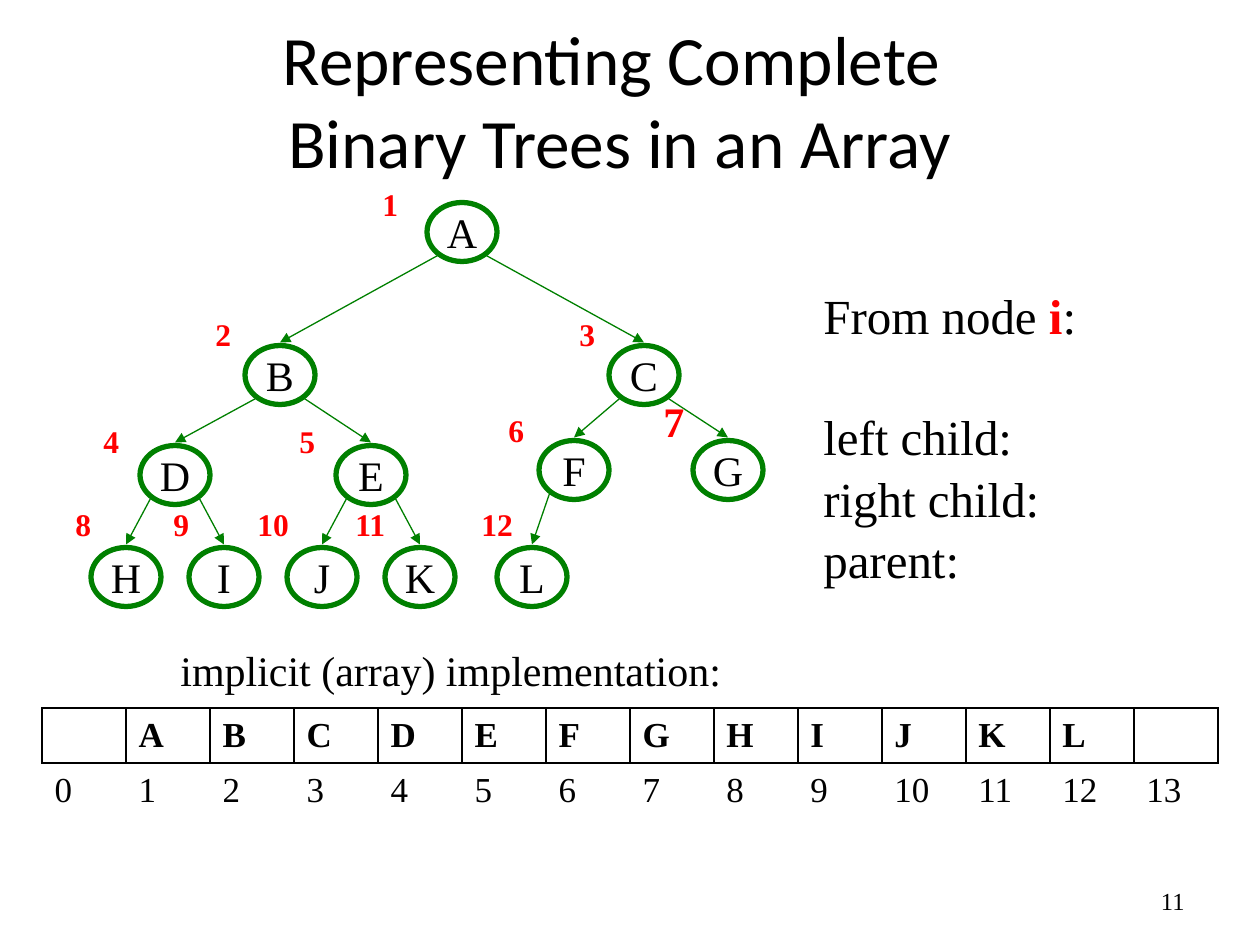
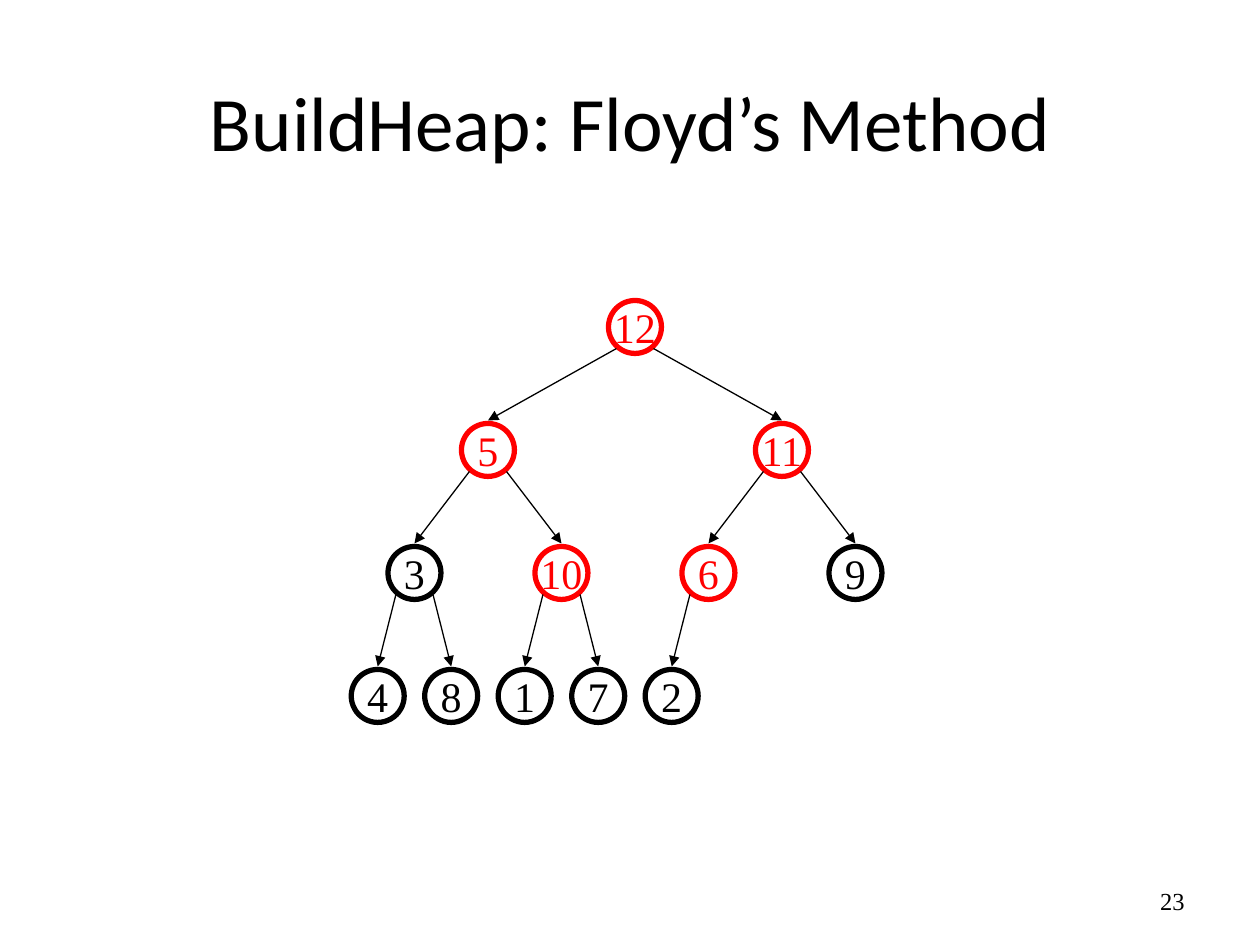
"""Build two slides on binary trees stored in arrays."""
from lxml import etree
from pptx import Presentation
from pptx import util as u
from pptx.dml.color import RGBColor
from pptx.enum import shapes, text
from pptx.oxml import ns

PX = 914400 / 126
BLACK, RED, GREEN = "000000", "FF0000", "008000"
SERIF, SANS = "Times New Roman", "Calibri"
LEFT, MID, RIGHT = text.PP_ALIGN.LEFT, text.PP_ALIGN.CENTER, text.PP_ALIGN.RIGHT

# name, centre x, centre y, number left, number top
NODES = [
    ("A", 462, 232, 370, 179),
    ("B", 280, 375, 203, 309),
    ("C", 644, 375, 567, 309),
    ("D", 175, 475, 91, 416),
    ("E", 371, 475, 287, 416),
    ("F", 574, 470, 496, 405),
    ("G", 728, 470, 651, 389),
    ("H", 126, 577, 63, 499),
    ("I", 224, 577, 161, 499),
    ("J", 322, 577, 245, 499),
    ("K", 420, 577, 343, 499),
    ("L", 532, 577, 469, 499),
]
BIG = "G"
LINKS = [
    ["From node ", ("i", {"color": RED, "bold": True}), ":"],
    ["left child:"],
    ["right child:"],
    ["parent:"],
]
CAPTION = "implicit (array) implementation:"
HEAP = [12, 5, 11, 3, 10, 6, 9, 4, 8, 1, 7, 2]
MARKED = {12, 5, 11, 10, 6}


def px(n):
    return u.Emu(round(n * PX))


def rgb(code):
    return RGBColor.from_string(code)


def write(frame, paras, size=24, color=BLACK, bold=False, font=SERIF, align=LEFT,
          anchor=text.MSO_ANCHOR.TOP, wrap=True, lead=None):
    """Fill a text frame; paras is a string or a list of lists of runs."""
    if isinstance(paras, str):
        paras = [[paras]]
    frame.word_wrap = wrap
    frame.vertical_anchor = anchor
    for i, runs in enumerate(paras):
        para = frame.add_paragraph() if i else frame.paragraphs[0]
        para.alignment = align
        if lead:
            para.line_spacing = lead
        for item in runs:
            if item == "\n":
                para.add_line_break()
                continue
            words, own = (item, {}) if isinstance(item, str) else item
            run = para.add_run()
            run.text = words
            run.font.name = font
            run.font.size = u.Pt(size)
            run.font.bold = own.get("bold", bold)
            run.font.color.rgb = rgb(own.get("color", color))
    return frame


def label(slide, box, paras, **form):
    return write(slide.shapes.add_textbox(*map(px, box)).text_frame, paras, **form)


def start(deck, box, title, size, number):
    """Add a slide with its title and page number."""
    slide = deck.slides.add_slide(deck.slide_layouts[6])
    middle = text.MSO_ANCHOR.MIDDLE
    label(slide, box, title, size=size, font=SANS, align=MID, anchor=middle)
    label(slide, (903, 876, 294, 50), number, size=14, align=RIGHT, anchor=middle)
    return slide


def node(slide, x, y, w, h, name, line, color):
    oval = slide.shapes.add_shape(
        shapes.MSO_SHAPE.OVAL, px(x - w / 2), px(y - h / 2), px(w), px(h))
    oval.shadow.inherit = False
    oval.fill.background()
    oval.line.color.rgb = rgb(line)
    oval.line.width = u.Pt(3)
    write(oval.text_frame, name, color=color, align=MID,
          anchor=text.MSO_ANCHOR.MIDDLE, wrap=False)


def arrow(slide, x1, y1, x2, y2, color):
    edge = slide.shapes.add_connector(
        shapes.MSO_CONNECTOR.STRAIGHT, px(x1), px(y1), px(x2), px(y2))
    edge.line.color.rgb = rgb(color)
    edge.line.width = u.Pt(0.75)
    etree.SubElement(edge.line._get_or_add_ln(), ns.qn("a:tailEnd"), type="triangle")
    etree.SubElement(edge._element.spPr, ns.qn("a:effectLst"))


def tree(slide, items, w, h, color):
    """Draw a complete tree; items holds name, x, y, line and text colour."""
    for i, (name, x, y, line, ink) in enumerate(items):
        node(slide, x, y, w, h, name, line, ink)
        if i:
            top = items[(i - 1) // 2]
            side = -1 if i % 2 else 1
            arrow(slide, top[1] + side * 0.35 * w, top[2] + 0.35 * h + 3,
                  x, y - h / 2 - 3, color)


def border(cell, shown):
    props = cell._tc.get_or_add_tcPr()
    for i, tag in enumerate(("lnL", "lnR", "lnT", "lnB")):
        line = etree.Element(ns.qn("a:" + tag), w="12700")
        if tag in shown:
            fill = etree.SubElement(line, ns.qn("a:solidFill"))
            etree.SubElement(fill, ns.qn("a:srgbClr"), val=BLACK)
        else:
            etree.SubElement(line, ns.qn("a:noFill"))
        props.insert(i, line)


def array(slide, names):
    """Draw the array cells above their indexes."""
    rows = [names, [str(i) for i in range(len(names))]]
    wide, high = 84, 55
    grid = slide.shapes.add_table(
        2, len(names), px(42), px(708), px(wide * len(names)), px(2 * high)).table
    grid.first_row = grid.horz_banding = False
    for col in grid.columns:
        col.width = px(wide)
    for r, row in enumerate(rows):
        grid.rows[r].height = px(high)
        for c, word in enumerate(row):
            cell = grid.cell(r, c)
            cell.fill.background()
            cell.vertical_anchor = text.MSO_ANCHOR.MIDDLE
            border(cell, ("lnT",) if r else ("lnL", "lnR", "lnT", "lnB"))
            if word:
                write(cell.text_frame, word, size=20, bold=not r,
                      anchor=text.MSO_ANCHOR.MIDDLE)


def layout(deck):
    slide = start(deck, (84, 24, 1071, 150),
                  [["Representing Complete ", "\n", "Binary Trees in an Array"]], 39.6, "11")
    links = label(slide, (811, 276, 339, 307), LINKS, size=28, lead=1.05)
    links.paragraphs[1].space_before = u.Pt(34)
    tree(slide, [(n, x, y, GREEN, BLACK) for n, x, y, *_ in NODES], 70, 59, GREEN)
    for i, (name, _, _, left, top) in enumerate(NODES, 1):
        label(slide, (left, top, 42 if i < 10 else 57, 77), str(i),
              size=24 if name == BIG else 18, color=RED, bold=True, wrap=False)
    label(slide, (168, 638, 753, 48), CAPTION)
    array(slide, ["", *(n[0] for n in NODES), ""])


def floyd(deck):
    slide = start(deck, (95, 42, 1071, 158), "BuildHeap: Floyd’s Method", 44, "23")
    items = []
    for i, key in enumerate(HEAP, 1):
        level = i.bit_length() - 1
        count = 2 ** level
        x = 635 + 588 / count * (i - count - (count - 1) / 2)
        ink = RED if key in MARKED else BLACK
        items.append((str(key), x, 327 + 123 * level, ink, ink))
    tree(slide, items, 53, 53, BLACK)


def main():
    deck = Presentation()
    deck.slide_width, deck.slide_height = px(1260), px(945)
    layout(deck)
    floyd(deck)
    deck.save("out.pptx")


if __name__ == "__main__":
    main()
